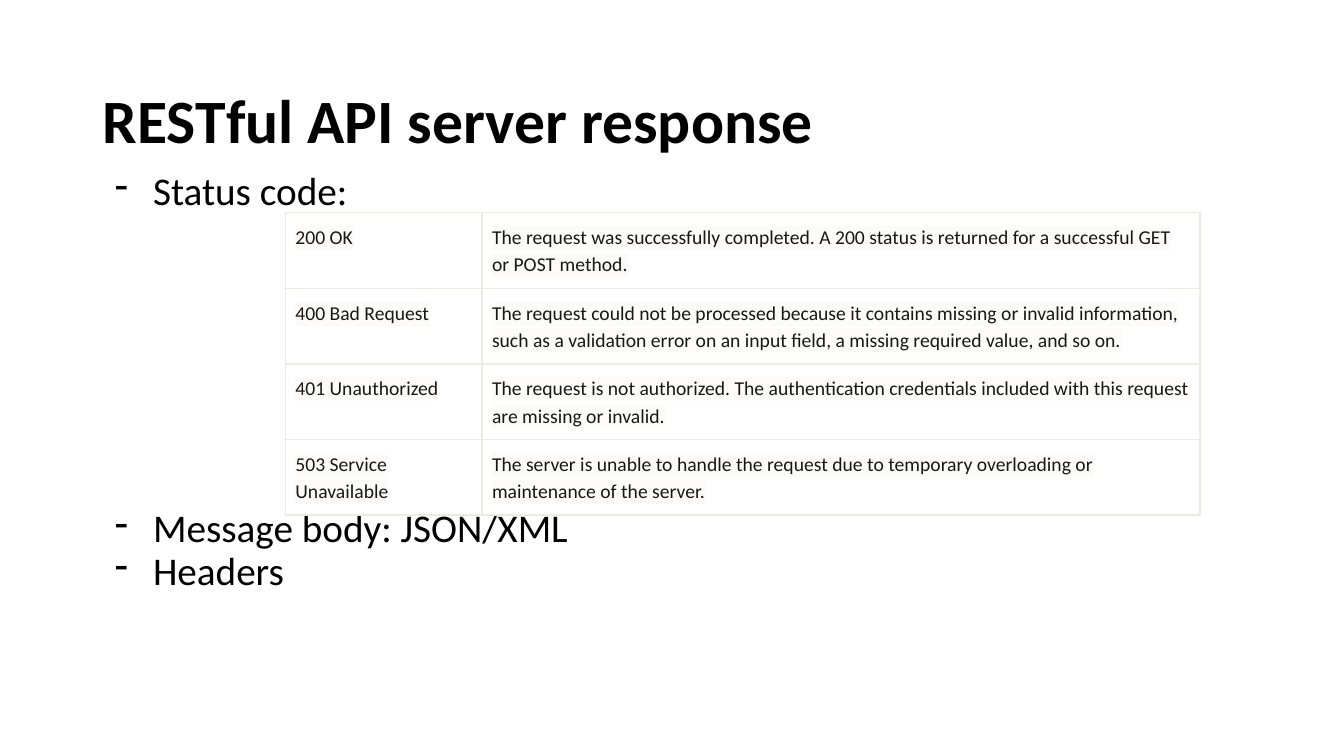
from lxml import etree
from pptx import Presentation
from pptx import util as u
from pptx.dml.color import RGBColor
from pptx.enum import text
from pptx.oxml import ns

BLACK = RGBColor(0x00, 0x00, 0x00)
WHITE = RGBColor(0xFF, 0xFF, 0xFF)
INK = RGBColor(0x1A, 0x18, 0x16)
GLOW = RGBColor(0xFC, 0xFB, 0xFA)
EDGE = RGBColor(0xEC, 0xEA, 0xE5)


def style(font, size, color, bold=False):
    font.name = "Calibri"
    font.size = u.Pt(size)
    font.bold = bold
    font.color.rgb = color


def paint(parent, color):
    fill = etree.SubElement(parent, ns.qn("a:solidFill"))
    etree.SubElement(fill, ns.qn("a:srgbClr"), val=str(color))


deck = Presentation()
deck.slide_width = u.Inches(13.33)
deck.slide_height = u.Inches(7.5)
slide = deck.slides.add_slide(deck.slide_layouts[5])

title = slide.shapes.title
title.left, title.top = u.Inches(0.92), u.Inches(0.4)
title.width, title.height = u.Inches(11.5), u.Inches(1.45)
frame = title.text_frame
frame.text = "RESTful API server response"
frame.auto_size = text.MSO_AUTO_SIZE.NONE
frame.vertical_anchor = text.MSO_ANCHOR.MIDDLE
head = frame.paragraphs[0]
head.alignment = text.PP_ALIGN.LEFT
head.line_spacing = 1.15
head.space_before = u.Pt(18)
head.space_after = u.Pt(4)
style(head.font, 44, BLACK, True)

body = slide.shapes.add_textbox(
    u.Inches(0.92), u.Inches(1.65), u.Inches(11.5), u.Inches(5.05))
frame = body.text_frame
frame.word_wrap = True
points = [("Status code:", 0), ("Message body: JSON/XML", 211), ("Headers", 0)]
frame.text = "\n".join(words for words, gap in points)
for para, (words, gap) in zip(frame.paragraphs, points):
    para.line_spacing = 0.9
    para.space_before = u.Pt(gap)
    style(para.font, 28, BLACK)
    props = para._p.get_or_add_pPr()
    props.set("marL", str(u.Inches(0.5)))
    props.set("indent", str(u.Inches(-0.38)))
    mark = etree.Element(ns.qn("a:buChar"), char="-")
    props.find(ns.qn("a:defRPr")).addprevious(mark)

codes = [
    ("200 OK",
     "The request was successfully completed. A 200 status is returned "
     "for a successful GET or POST method."),
    ("400 Bad Request",
     "The request could not be processed because it contains missing or "
     "invalid information, such as a validation error on an input field, "
     "a missing required value, and so on."),
    ("401 Unauthorized",
     "The request is not authorized. The authentication credentials "
     "included with this request are missing or invalid."),
    ("503 Service Unavailable",
     "The server is unable to handle the request due to temporary "
     "overloading or maintenance of the server."),
]
table = slide.shapes.add_table(
    len(codes), 2, u.Inches(2.83), u.Inches(2.11),
    u.Inches(9.07), u.Inches(3)).table
table.first_row = False
table.horz_banding = False
for column, width in zip(table.columns, (1.95, 7.12)):
    column.width = u.Inches(width)

for row, pair in zip(table.rows, codes):
    row.height = u.Inches(0.75)
    for cell, words in zip(row.cells, pair):
        cell.margin_left = cell.margin_right = u.Inches(0.1)
        cell.margin_top = cell.margin_bottom = u.Inches(0.1)
        cell.fill.solid()
        cell.fill.fore_color.rgb = WHITE
        para = cell.text_frame.paragraphs[0]
        para.line_spacing = 1.14
        run = para.add_run()
        run.text = words
        style(run.font, 14, INK)
        glow = etree.Element(ns.qn("a:highlight"))
        etree.SubElement(glow, ns.qn("a:srgbClr"), val=str(GLOW))
        run._r.rPr.find(ns.qn("a:solidFill")).addnext(glow)
        props = cell._tc.get_or_add_tcPr()
        for spot, side in enumerate("LRTB"):
            line = etree.Element(ns.qn("a:ln" + side), w=str(u.Pt(1.2)))
            paint(line, EDGE)
            props.insert(spot, line)

deck.save("out.pptx")
